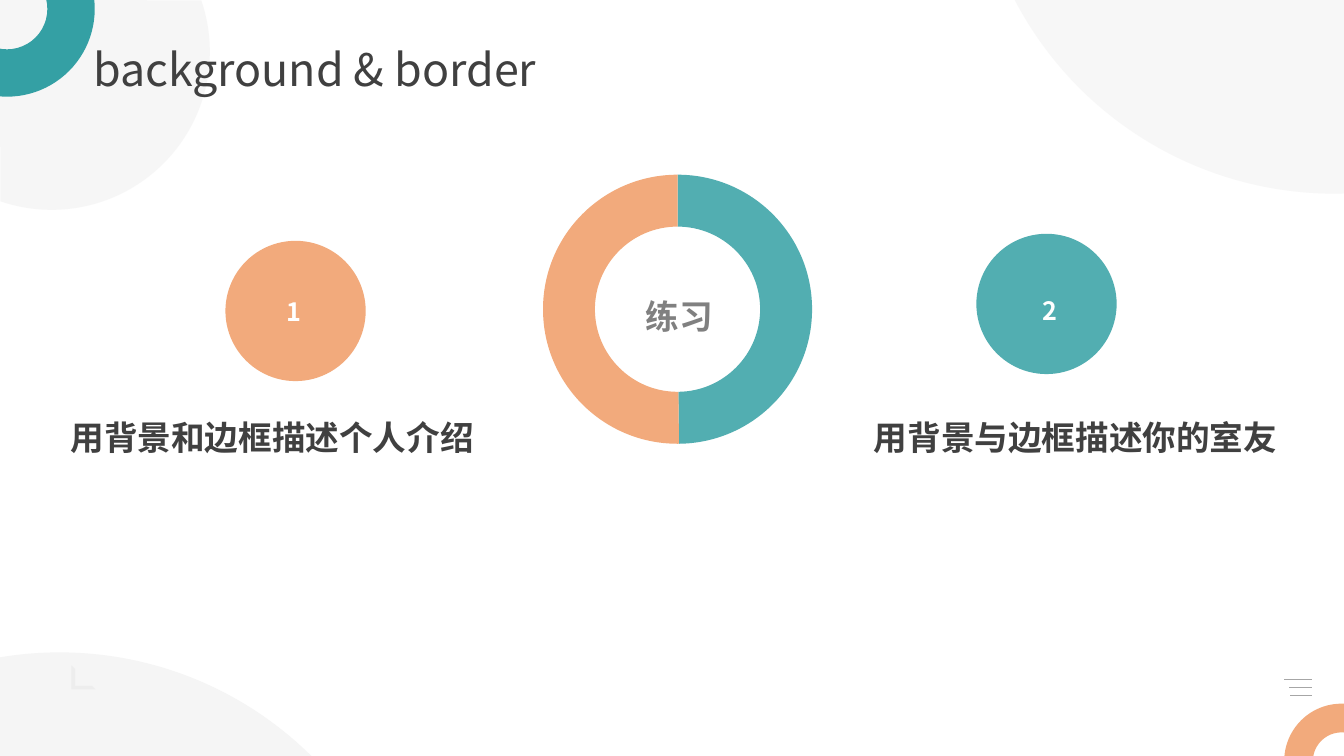
from math import ceil, cos, floor, radians, sin, tan

from lxml import etree
from pptx import Presentation
from pptx.dml.color import RGBColor
from pptx.enum.shapes import MSO_CONNECTOR, MSO_SHAPE
from pptx.enum.text import MSO_ANCHOR, PP_ALIGN
from pptx.oxml.ns import qn
from pptx.util import Pt

STRAIGHT = MSO_CONNECTOR.STRAIGHT
DONUT, ELLIPSE, HALF_FRAME = MSO_SHAPE.DONUT, MSO_SHAPE.OVAL, MSO_SHAPE.HALF_FRAME
LEFT, CENTER = PP_ALIGN.LEFT, PP_ALIGN.CENTER
MIDDLE = MSO_ANCHOR.MIDDLE

WHITE = RGBColor(0xFF, 0xFF, 0xFF)
PALE = RGBColor(0xF2, 0xF2, 0xF2)
SILVER = RGBColor(0xBF, 0xBF, 0xBF)
LINE_GRAY = RGBColor(0xA6, 0xA6, 0xA6)
GRAY = RGBColor(0x80, 0x80, 0x80)
DARK = RGBColor(0x40, 0x40, 0x40)
TEAL = RGBColor(0x34, 0xA0, 0xA4)
ORANGE = RGBColor(0xF2, 0xAA, 0x7C)

FONT = "Noto Sans CJK SC"
PAGE_WIDTH, PAGE_HEIGHT = 960, 540


def paint(shape, color, opacity=100):
    """Flat fill without outline or shadow; opacity in percent."""
    shape.shadow.inherit = False
    shape.line.fill.background()
    shape.fill.solid()
    shape.fill.fore_color.rgb = color
    if opacity < 100:
        color_node = shape._element.spPr.find(qn("a:solidFill"))[0]
        alpha = etree.SubElement(color_node, qn("a:alpha"))
        alpha.set("val", str(opacity * 1000))


def add_preset(page, kind, left, top, size, color, opacity=100,
               adjustments=(), rotation=0):
    shape = page.shapes.add_shape(kind, Pt(left), Pt(top), Pt(size), Pt(size))
    for index, value in enumerate(adjustments):
        shape.adjustments[index] = value
    shape.rotation = rotation
    paint(shape, color, opacity)


def arc(center, radius, start, end):
    """Start point and Bezier triples of an arc, split at each quadrant.

    Angles are in degrees, clockwise from the right.
    """
    low, high = sorted((start, end))
    quadrants = range(floor(low / 90) + 1, ceil(high / 90))
    angles = [low, *(90 * quadrant for quadrant in quadrants), high]
    if start > end:
        angles.reverse()

    def point(angle, along=0):
        x, y = cos(radians(angle)), sin(radians(angle))
        return (center[0] + radius * (x - along * y),
                center[1] + radius * (y + along * x))

    curves = []
    for first, last in zip(angles, angles[1:]):
        reach = 4 / 3 * tan(radians(last - first) / 4)
        curves.append((point(first, reach), point(last, -reach), point(last)))
    return point(start), curves


def add_outline(page, start, segments, color, opacity=100):
    """Closed outline; a segment holds one point (line) or three (curve)."""
    builder = page.shapes.build_freeform(Pt(start[0]), Pt(start[1]))
    builder.add_line_segments(
        [(Pt(x), Pt(y)) for segment in segments for x, y in segment], close=True)
    shape = builder.convert_to_shape()
    lines = iter(list(shape._element.iter(qn("a:lnTo"))))
    for segment in segments:
        nodes = [next(lines) for _ in segment]
        if len(nodes) == 3:
            nodes[0].tag  # keep the first node's place in the outline
            curve = etree.Element(qn("a:cubicBezTo"))
            nodes[0].addprevious(curve)
            for node in nodes:
                curve.append(node[0])
                node.getparent().remove(node)
    paint(shape, color, opacity)


def add_rule(page, left, right, y):
    rule = page.shapes.add_connector(STRAIGHT, Pt(left), Pt(y), Pt(right), Pt(y))
    rule.line.color.rgb = LINE_GRAY
    rule.line.width = Pt(0.5)
    etree.SubElement(rule._element.spPr, qn("a:effectLst"))


def add_text(page, text, left, top, width, height, *, size=24, color=DARK,
             bold=True, align=LEFT, inset=0):
    box = page.shapes.add_textbox(Pt(left), Pt(top), Pt(width), Pt(height))
    frame = box.text_frame
    frame.word_wrap = True
    frame.vertical_anchor = MIDDLE
    frame.margin_left = frame.margin_right = Pt(inset)
    frame.margin_top = frame.margin_bottom = 0
    para = frame.paragraphs[0]
    para.alignment = align
    span = para.add_run()
    span.text = text
    span.font.name = FONT
    span.font.size = Pt(size)
    span.font.bold = bold
    span.font.color.rgb = color
    east_asian = etree.SubElement(span._r.get_or_add_rPr(), qn("a:ea"))
    east_asian.set("typeface", FONT)


def add_backdrop(page):
    # Corner mark and menu lines
    add_preset(page, HALF_FRAME, 51, 475.2, 17.3, SILVER, 52, (0.152, 0.152), 270)
    for index, left in enumerate((917.3, 920.9, 921.6)):
        add_rule(page, left, 937.4, 485.3 + 5.75 * index)

    # Pale discs cut off by the page corners
    discs = (
        ((36.9, 36.9), 113, -18.9, 108.9, (0, 0), 64),
        ((953.3, -119.5), 257.8, 88.5, 152.4, (PAGE_WIDTH, 0), 61),
        ((42.5, 721.6), 255.6, 260.4, 314.8, (0, PAGE_HEIGHT), 77),
    )
    for center, radius, first, last, corner, opacity in discs:
        start, curves = arc(center, radius, first, last)
        add_outline(page, start, curves + [(corner,)], PALE, opacity)

    # Title and corner rings
    add_text(page, "background & border", 59.4, 25.9, 388, 46,
             size=32, bold=False, inset=7.2)
    add_preset(page, DONUT, -57.6, -56.2, 125.3, TEAL, adjustments=(0.27,))
    add_preset(page, DONUT, 917.3, 502.6, 82, ORANGE, adjustments=(0.25,))


def add_split_ring(page):
    center, outer, inner = (484, 220.9), 96.1, 59
    halves = ((-90, 89.4, TEAL, 85), (89.4, 270, ORANGE, 100))
    for first, last, color, opacity in halves:
        start, outside = arc(center, outer, first, last)
        turn, inside = arc(center, inner, last, first)
        add_outline(page, start, outside + [(turn,)] + inside, color, opacity)
    add_text(page, "练习", 431.3, 211.7, 108, 28.8, color=GRAY, align=CENTER)


def add_exercise(page, number, caption, disc, number_at, caption_left, color, opacity):
    add_preset(page, ELLIPSE, *disc, 100.2, color, opacity)
    add_text(page, number, *number_at, 108, 21.6, size=18, color=WHITE, align=CENTER)
    add_text(page, caption, caption_left, 298, 300, 28.8)


def main():
    deck = Presentation()
    deck.slide_width, deck.slide_height = Pt(PAGE_WIDTH), Pt(PAGE_HEIGHT)
    page = deck.slides.add_slide(deck.slide_layouts[6])
    add_backdrop(page)
    add_split_ring(page)
    add_exercise(page, "1", "用背景和边框描述个人介绍",
                 (161, 172), (156, 211.7), 50.4, ORANGE, 100)
    add_exercise(page, "2", "用背景与边框描述你的室友",
                 (697.4, 167), (696, 211), 624.2, TEAL, 85)
    deck.save("out.pptx")


main()
